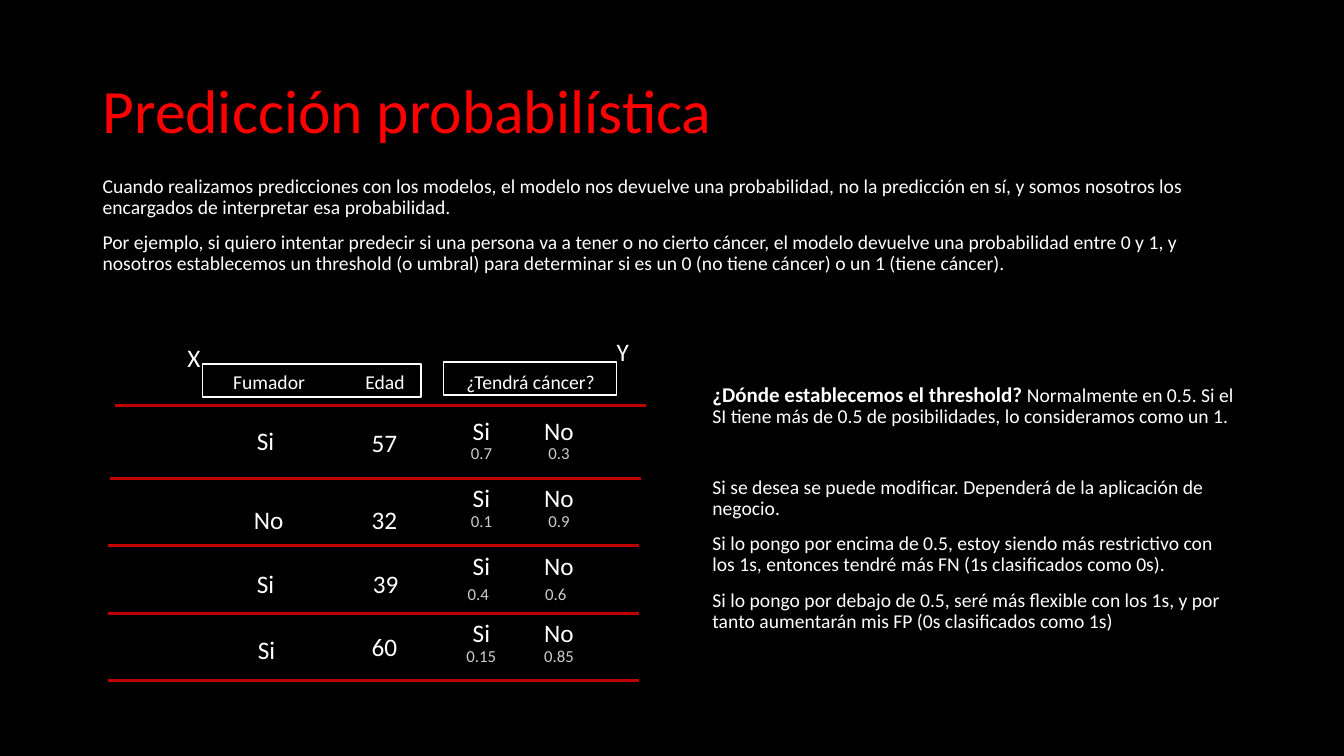
from dataclasses import dataclass

from lxml.etree import SubElement
from pptx import Presentation
from pptx.dml.color import RGBColor
from pptx.enum.shapes import MSO_CONNECTOR as Connector, MSO_SHAPE as Shape
from pptx.enum.text import MSO_ANCHOR as Anchor, PP_ALIGN as Align
from pptx.oxml.ns import qn
from pptx.util import Pt


@dataclass(frozen=True)
class Theme:
    font: str = "Calibri"
    background: RGBColor = RGBColor(0, 0, 0)
    title: RGBColor = RGBColor(0xFF, 0, 0)
    text: RGBColor = RGBColor(0xFF, 0xFF, 0xFF)
    probability: RGBColor = RGBColor(0xCC, 0xCC, 0xCC)
    rule: RGBColor = RGBColor(0xC0, 0, 0)
    title_size: int = 44
    value_size: int = 18
    question_size: int = 15
    body_size: int = 14
    probability_size: int = 12


@dataclass(frozen=True)
class Patient:
    smoker: str
    smoker_at: tuple
    age: str
    age_at: tuple
    odds: tuple
    odds_at: tuple


THEME = Theme()
CELL = (42.5, 28.8)
ANSWERS = ("Si", "No")
ANSWER_LEFT, ANSWER_TOP = 322.6, 293
ANSWER_STEP, ROW_STEP = 55.4, 48.24
RULE_LENGTH = 379.4
PARAGRAPH_GAP, SECTION_GAP = 10, 35.4

PATIENTS = (
    Patient("Si", (168.5, 300.2), "57", (253.4, 301.7), ("0.7", "0.3"), (322.6, 312.5)),
    Patient("No", (170.6, 356.4), "32", (253.4, 356.4), ("0.1", "0.9"), (322.6, 361.4)),
    Patient("Si", (168.5, 402.5), "39", (254.2, 402.5), ("0.4", "0.6"), (320.4, 413.3)),
    Patient("Si", (169.2, 449.3), "60", (253.4, 447.1), ("0.15", "0.85"), (322.6, 457.9)),
)
RULES = ((82.1, 289.4), (78.5, 342), (77, 389.5), (77, 438.5), (77, 486))
HEADINGS = (
    ("Fumador", (136.8, 260.6, 110.9, 24.5)),
    ("Edad", (231.1, 260.6, 87.8, 24.5)),
    ("¿Tendrá cáncer?", (310.3, 260.6, 137.5, 24.5)),
)
GROUPS = (
    ("X", (126.7, 241.2), (144.7, 259.9, 156.2, 23.8)),
    ("Y", (433.4, 236.9), (316.8, 258.5, 123.8, 23.8)),
)
INTRO = (
    "Cuando realizamos predicciones con los modelos, el modelo nos devuelve una probabilidad, "
    "no la predicción en sí, y somos nosotros los encargados de interpretar esa probabilidad.",
    "Por ejemplo, si quiero intentar predecir si una persona va a tener o no cierto cáncer, "
    "el modelo devuelve una probabilidad entre 0 y 1, y nosotros establecemos un threshold "
    "(o umbral) para determinar si es un 0 (no tiene cáncer) o un 1 (tiene cáncer).",
)
QUESTION = "¿Dónde establecemos el threshold?"
ANSWER = (
    " Normalmente en 0.5. Si el SI tiene más de 0.5 de posibilidades, "
    "lo consideramos como un 1."
)
ADVICE = (
    "Si se desea se puede modificar. Dependerá de la aplicación de negocio.",
    "Si lo pongo por encima de 0.5, estoy siendo más restrictivo con los 1s, "
    "entonces tendré más FN (1s clasificados como 0s).",
    "Si lo pongo por debajo de 0.5, seré más flexible con los 1s, y por tanto "
    "aumentarán mis FP (0s clasificados como 1s)",
)


def add_frame(slide, box, anchor=Anchor.TOP):
    frame = slide.shapes.add_textbox(*map(Pt, box)).text_frame
    frame.word_wrap = True
    frame.vertical_anchor = anchor
    return frame


def write(paragraph, text, size, color=THEME.text, bold=False):
    run = paragraph.add_run()
    run.text = text
    run.font.color.rgb = color
    for name, value in {"name": THEME.font, "size": Pt(size), "bold": bold}.items():
        setattr(run.font, name, value)


def add_label(slide, text, box, size=THEME.value_size, color=THEME.text, align=Align.CENTER):
    label = add_frame(slide, box).paragraphs[0]
    label.alignment = align
    write(label, text, size, color)


def add_paragraph(frame, gap=PARAGRAPH_GAP):
    paragraph = frame.add_paragraph()
    paragraph.space_before = Pt(gap)
    paragraph.line_spacing = 0.9
    return paragraph


def add_title(slide):
    title = add_frame(slide, (66.2, 28.8, 828, 104.4), Anchor.MIDDLE).paragraphs[0]
    title.line_spacing = 0.9
    write(title, "Predicción probabilística", THEME.title_size, THEME.title)


def add_intro(slide):
    frame = add_frame(slide, (66.2, 122.4, 802.8, 114.5))
    opening, example = INTRO
    frame.paragraphs[0].line_spacing = 0.9
    write(frame.paragraphs[0], opening, THEME.body_size)
    write(add_paragraph(frame), example, THEME.body_size)


def add_threshold(slide):
    frame = add_frame(slide, (501.8, 270.7, 388.1, 219.6))
    question = frame.paragraphs[0]
    question.line_spacing = 0.9
    write(question, QUESTION, THEME.question_size, bold=True)
    write(question, ANSWER, THEME.body_size)
    for index, text in enumerate(ADVICE):
        gap = PARAGRAPH_GAP if index else SECTION_GAP
        write(add_paragraph(frame, gap), text, THEME.body_size)


def add_rule(slide, left, top):
    ends = (left, top, left + RULE_LENGTH, top)
    rule = slide.shapes.add_connector(Connector.STRAIGHT, *map(Pt, ends))
    rule.line.color.rgb = THEME.rule
    rule.line.width = Pt(2.25)
    SubElement(rule._element.spPr, qn("a:effectLst"))


def add_group(slide, letter, letter_at, box):
    outline = slide.shapes.add_shape(Shape.RECTANGLE, *map(Pt, box))
    outline.shadow.inherit = False
    outline.fill.background()
    outline.line.color.rgb = THEME.text
    outline.line.width = Pt(1)
    add_label(slide, letter, (*letter_at, 36, 28.8), align=Align.LEFT)


def add_patient(slide, row, patient):
    add_label(slide, patient.smoker, (*patient.smoker_at, *CELL))
    add_label(slide, patient.age, (*patient.age_at, *CELL))
    odds_left, odds_top = patient.odds_at
    for column, (answer, odds) in enumerate(zip(ANSWERS, patient.odds)):
        shift = column * ANSWER_STEP
        answer_box = (ANSWER_LEFT + shift, ANSWER_TOP + row * ROW_STEP, *CELL)
        add_label(slide, answer, answer_box)
        add_label(slide, odds, (odds_left + shift, odds_top, *CELL),
                  THEME.probability_size, THEME.probability)


def main():
    deck = Presentation()
    deck.slide_width, deck.slide_height = Pt(960), Pt(540)
    slide = deck.slides.add_slide(deck.slide_layouts[6])
    slide.background.fill.solid()
    slide.background.fill.fore_color.rgb = THEME.background
    add_title(slide)
    add_intro(slide)
    for text, box in HEADINGS:
        add_label(slide, text, box, THEME.body_size)
    for group in GROUPS:
        add_group(slide, *group)
    for rule in RULES:
        add_rule(slide, *rule)
    for row, patient in enumerate(PATIENTS):
        add_patient(slide, row, patient)
    add_threshold(slide)
    deck.save("out.pptx")


if __name__ == "__main__":
    main()
